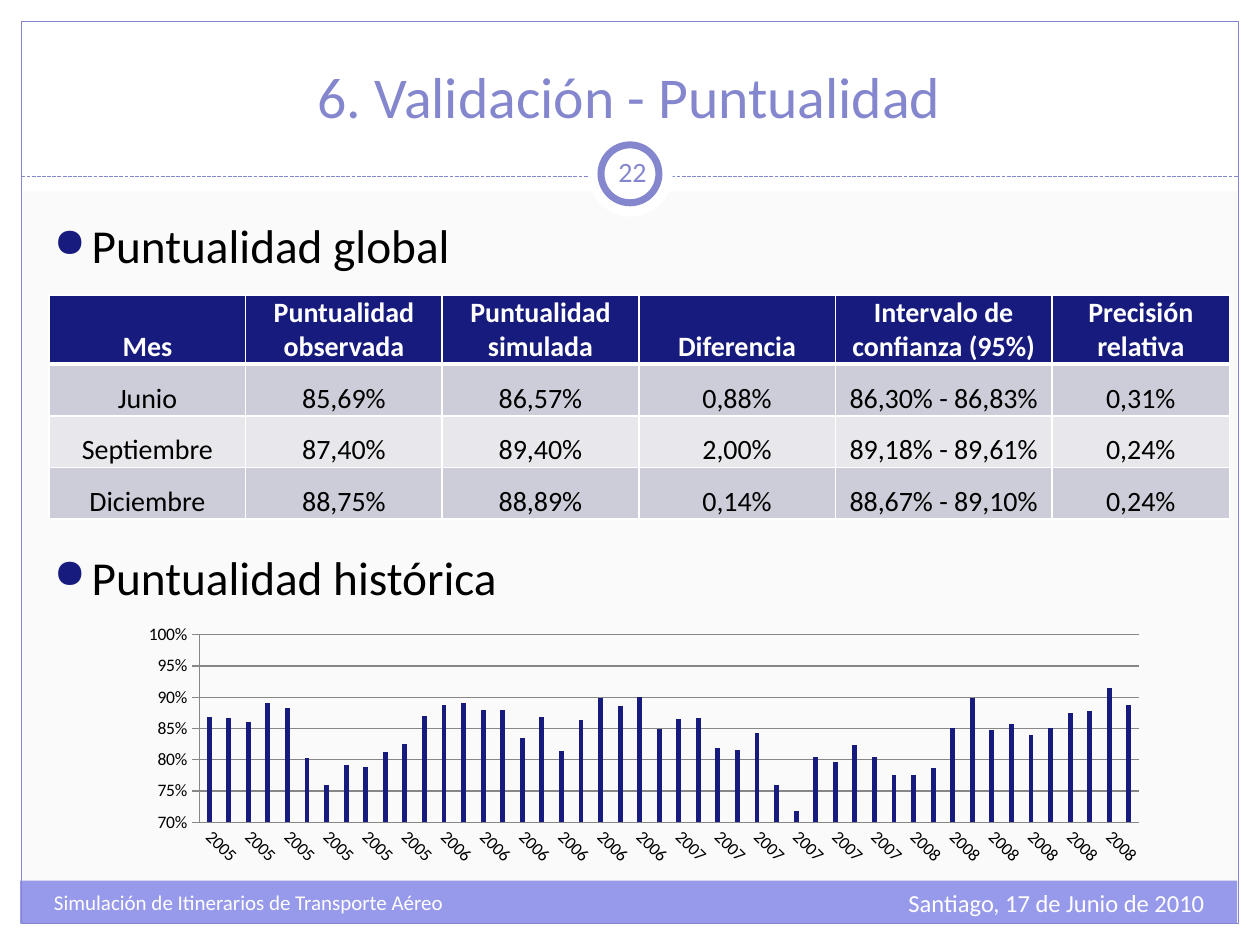
from lxml import etree
from pptx import Presentation
from pptx.chart.data import CategoryChartData
from pptx.dml.color import RGBColor
from pptx.enum.chart import XL_CHART_TYPE, XL_TICK_MARK
from pptx.enum.dml import MSO_LINE
from pptx.enum.shapes import MSO_CONNECTOR, MSO_SHAPE
from pptx.enum.text import MSO_ANCHOR, PP_ALIGN
from pptx.oxml.ns import qn
from pptx.util import Inches, Pt

LEFT, CENTER, RIGHT = PP_ALIGN.LEFT, PP_ALIGN.CENTER, PP_ALIGN.RIGHT
TOP, MIDDLE, BOTTOM = MSO_ANCHOR.TOP, MSO_ANCHOR.MIDDLE, MSO_ANCHOR.BOTTOM
RECT, OVAL = MSO_SHAPE.RECTANGLE, MSO_SHAPE.OVAL

FONT = "Calibri"
COLORS = {
    "background": "FAFAFA", "white": "FFFFFF", "black": "000000",
    "lilac": "8587CE", "footer": "9799EA", "navy": "181B7E",
    "band_dark": "CCCDD8", "band_light": "E8E8EC", "grid": "878787",
}

# position, text, size, colour, alignment, anchor, inset
LABELS = [
    ((0.33, 0.25, 9.33, 0.83), "6. Validación - Puntualidad", 33, "lilac", CENTER, BOTTOM, 0.1),
    ((6.33, 7, 3.33, 0.4), "Santiago, 17 de Junio de 2010", 14, "white", RIGHT, TOP, 0.1),
    ((0.33, 7.01, 3.92, 0.4), "Simulación de Itinerarios de Transporte Aéreo", 12, "white",
     LEFT, TOP, 0.1),
    ((4.77, 1.12, 0.5, 0.48), "22", 16, "lilac", CENTER, MIDDLE, 0.05),
]
HEADINGS = [(1.67, "Puntualidad global"), (4.3, "Puntualidad histórica")]

PUNCTUALITY = [
    ("Mes", "Puntualidad observada", "Puntualidad simulada", "Diferencia",
     "Intervalo de confianza (95%)", "Precisión relativa"),
    ("Junio", "85,69%", "86,57%", "0,88%", "86,30% - 86,83%", "0,31%"),
    ("Septiembre", "87,40%", "89,40%", "2,00%", "89,18% - 89,61%", "0,24%"),
    ("Diciembre", "88,75%", "88,89%", "0,14%", "88,67% - 89,10%", "0,24%"),
]
COLUMN_WIDTHS = [1.56, 1.56, 1.56, 1.56, 1.72, 1.41]
ROW_HEIGHTS = [0.55, 0.41, 0.41, 0.41]

HISTORY = {
    "2005": [0.868, 0.866, 0.86, 0.89, 0.882, 0.803, 0.76, 0.791, 0.789, 0.813, 0.825, 0.87],
    "2006": [0.887, 0.891, 0.88, 0.879, 0.834, 0.868, 0.814, 0.863, 0.898, 0.886, 0.9, 0.849],
    "2007": [0.865, 0.866, 0.819, 0.815, 0.842, 0.76, 0.718, 0.804, 0.796, 0.824, 0.805, 0.776],
    "2008": [0.775, 0.786, 0.85, 0.899, 0.847, 0.857, 0.839, 0.85, 0.874, 0.878, 0.914, 0.887],
}


def color(name):
    return RGBColor.from_string(COLORS[name])


def inches(values):
    return [Inches(value) for value in values]


def set_font(font, size, color_name, bold=False):
    font.name, font.size, font.bold = FONT, Pt(size), bold
    font.color.rgb = color(color_name)


def add_panel(slide, kind, position, fill=None, outline=None, width=0.75):
    panel = slide.shapes.add_shape(kind, *inches(position))
    panel.shadow.inherit = False
    if fill:
        panel.fill.solid()
        panel.fill.fore_color.rgb = color(fill)
    else:
        panel.fill.background()
    if outline:
        panel.line.color.rgb = color(outline)
        panel.line.width = Pt(width)
    else:
        panel.line.fill.background()


def add_text(slide, position, text, size, color_name, align=LEFT, anchor=TOP, inset=0.1):
    frame = slide.shapes.add_textbox(*inches(position)).text_frame
    frame.word_wrap = True
    frame.vertical_anchor = anchor
    frame.margin_left = frame.margin_right = Inches(inset)
    paragraph = frame.paragraphs[0]
    paragraph.text, paragraph.alignment = text, align
    set_font(paragraph.font, size, color_name)
    return paragraph


def add_bullet(paragraph):
    properties = paragraph._p.get_or_add_pPr()
    properties.set("marL", str(Inches(0.3)))
    properties.set("indent", str(Inches(-0.3)))
    bullet_color = etree.Element(qn("a:buClr"))
    etree.SubElement(bullet_color, qn("a:srgbClr"), val=COLORS["navy"])
    bullet = [bullet_color,
              etree.Element(qn("a:buSzPct"), val="85000"),
              etree.Element(qn("a:buChar"), char="●")]
    for place, element in enumerate(bullet):
        properties.insert(place, element)


def add_borders(cell, widths):
    """Draw white cell borders; widths gives points by side, L, R, T and B."""
    properties = cell._tc.get_or_add_tcPr()
    for side, width in widths.items():
        line = etree.SubElement(properties, qn("a:ln" + side), w=str(Pt(width)))
        fill = etree.SubElement(line, qn("a:solidFill"))
        etree.SubElement(fill, qn("a:srgbClr"), val=COLORS["white"])


def add_frame(slide):
    for position in [(0, 7.33, 10, 0.17), (0, 0, 10, 1.52),
                     (0, 0, 0.17, 7.5), (9.83, 0, 0.17, 7.5)]:
        add_panel(slide, RECT, position, "white")
    add_panel(slide, RECT, (0.16, 6.99, 9.66, 0.34), "footer")
    add_panel(slide, RECT, (0.17, 0.17, 9.66, 7.16), outline="lilac")
    divider = slide.shapes.add_connector(
        MSO_CONNECTOR.STRAIGHT, *inches((0.17, 1.4, 9.83, 1.4)))
    divider.line.color.rgb = color("lilac")
    divider.line.width = Pt(0.75)
    divider.line.dash_style = MSO_LINE.SQUARE_DOT
    etree.SubElement(divider._element.spPr, qn("a:effectLst"))
    add_panel(slide, OVAL, (4.67, 1.05, 0.67, 0.67), "white")
    add_panel(slide, OVAL, (4.77, 1.15, 0.46, 0.46), "white", "lilac", 4)


def add_punctuality_table(slide):
    size = (sum(COLUMN_WIDTHS), sum(ROW_HEIGHTS))
    table = slide.shapes.add_table(
        len(PUNCTUALITY), len(COLUMN_WIDTHS), *inches((0.39, 2.34, *size))).table
    for column, width in zip(table.columns, COLUMN_WIDTHS):
        column.width = Inches(width)
    for r, (row, height) in enumerate(zip(PUNCTUALITY, ROW_HEIGHTS)):
        table.rows[r].height = Inches(height)
        header = r == 0
        fill = "navy" if header else ("band_light", "band_dark")[r % 2]
        for c, text in enumerate(row):
            cell = table.cell(r, c)
            add_borders(cell, {"L": 1, "R": 1, "T": 3 if r == 1 else 1, "B": 3 if header else 1})
            cell.fill.solid()
            cell.fill.fore_color.rgb = color(fill)
            cell.vertical_anchor = BOTTOM
            cell.margin_left = cell.margin_right = cell.margin_top = Inches(0.01)
            cell.margin_bottom = 0
            paragraph = cell.text_frame.paragraphs[0]
            paragraph.text, paragraph.alignment = text, CENTER
            set_font(paragraph.font, 16, "white" if header else "black", header)


def add_history_chart(slide):
    data = CategoryChartData(number_format="0%")
    data.categories = [year for year, months in HISTORY.items() for _ in months]
    data.add_series("Series 1", [value for months in HISTORY.values() for value in months])
    chart = slide.shapes.add_chart(
        XL_CHART_TYPE.COLUMN_CLUSTERED, *inches((1.02, 4.92, 8.2, 1.99)), data).chart
    chart.has_legend = chart.has_title = False
    set_font(chart.font, 10, "black")

    plot = chart.plots[0]
    plot.gap_width = 300
    plot.vary_by_categories = False
    bars = plot.series[0].format.fill
    bars.solid()
    bars.fore_color.rgb = color("navy")

    years, share = chart.category_axis, chart.value_axis
    years.major_tick_mark = XL_TICK_MARK.NONE
    set_font(years.tick_labels.font, 10, "black")
    years._element.txPr.find(qn("a:bodyPr")).set("rot", str(45 * 60000))
    share.minimum_scale, share.maximum_scale, share.major_unit = 0.7, 1, 0.05
    share.major_tick_mark = XL_TICK_MARK.CROSS
    share.tick_labels.number_format = "0%"
    share.tick_labels.number_format_is_linked = False
    share.has_major_gridlines = True
    for line in (years.format.line, share.format.line, share.major_gridlines.format.line):
        line.color.rgb = color("grid")
        line.width = Pt(0.75)


def main():
    deck = Presentation()
    deck.slide_width, deck.slide_height = Inches(10), Inches(7.5)
    slide = deck.slides.add_slide(deck.slide_layouts[6])
    slide.background.fill.solid()
    slide.background.fill.fore_color.rgb = color("background")
    add_frame(slide)
    for label in LABELS:
        add_text(slide, *label)
    add_punctuality_table(slide)
    for top, heading in HEADINGS:
        add_bullet(add_text(slide, (0.33, top, 9.3, 0.56), heading, 27, "black"))
    add_history_chart(slide)
    deck.save("out.pptx")


if __name__ == "__main__":
    main()
